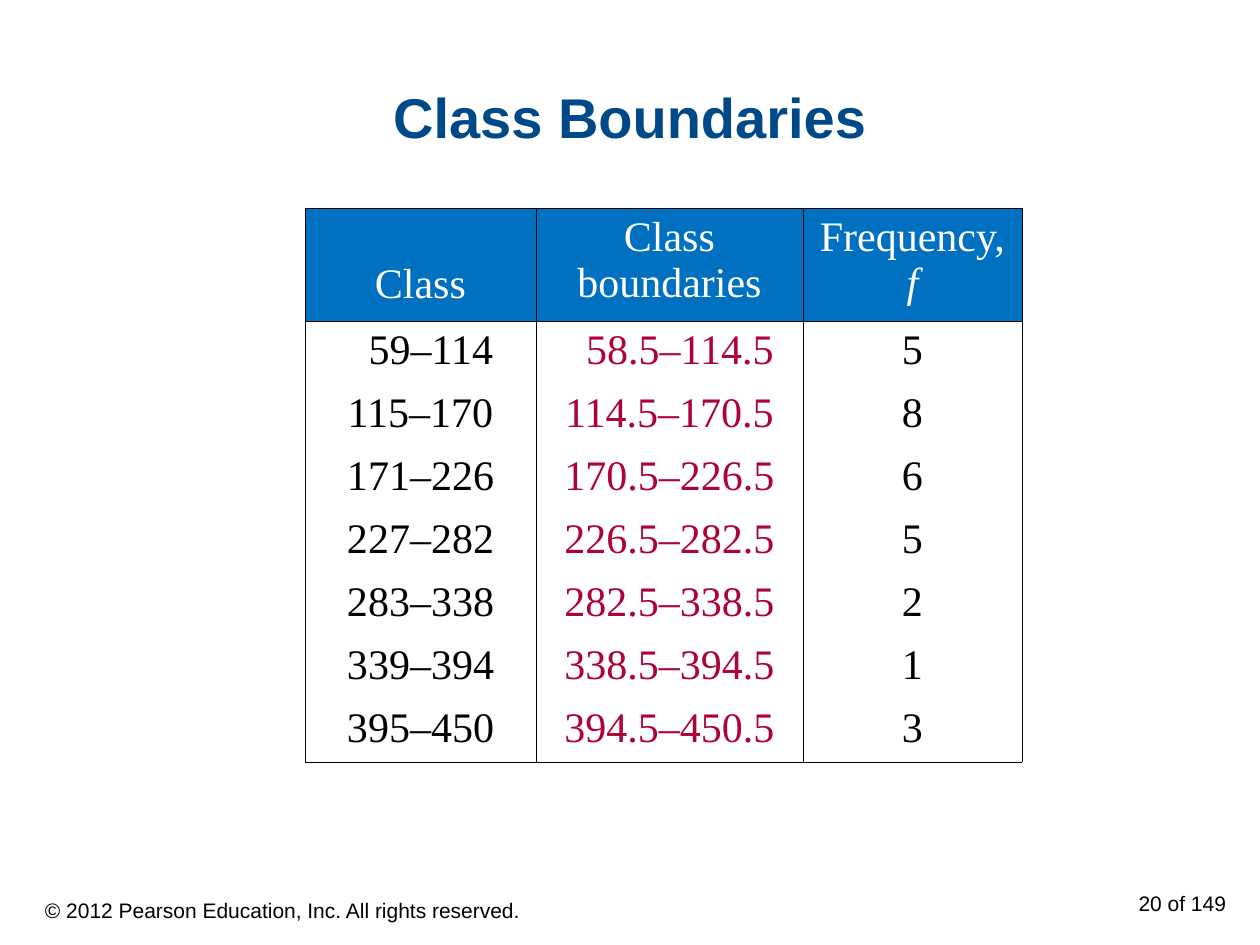
from dataclasses import dataclass

from lxml.etree import SubElement
from pptx import Presentation
from pptx.dml.color import RGBColor
from pptx.enum.text import MSO_ANCHOR, PP_ALIGN
from pptx.oxml.ns import qn
from pptx.util import Emu, Pt

EMU_PER_PX = 914400 / 126

TITLE_BLUE = RGBColor(0x00, 0x49, 0x88)
HEADER_BLUE = RGBColor(0x00, 0x70, 0xC0)
BOUNDARY_RED = RGBColor(0xAE, 0x03, 0x37)
WHITE = RGBColor(0xFF, 0xFF, 0xFF)
BLACK = RGBColor(0x00, 0x00, 0x00)

NO_STYLE = "{2D5ABB26-0587-4C30-8999-92F81FD0307C}"
MARGIN_X, MARGIN_Y = 13, 6
HEADER_HEIGHT, ROW_HEIGHT = 113, 63
LINE_HEIGHT = 47  # one line of table text
DIGIT_WIDTH = 21  # one digit of table text


@dataclass(frozen=True)
class Label:
    text: str
    left: int
    top: int
    width: int
    height: int
    size: int
    color: RGBColor
    align: PP_ALIGN
    anchor: MSO_ANCHOR
    bold: bool = False


@dataclass(frozen=True)
class Column:
    heading: tuple[str, ...]  # a second part is set in italics
    width: int
    color: RGBColor
    values: tuple[str, ...]
    heading_drop: int = 0
    first_indent: int = 0  # lines up a first value that is a digit shorter


LABELS = (
    Label("Class Boundaries", 63, 38, 1134, 157, 32, TITLE_BLUE,
          PP_ALIGN.CENTER, MSO_ANCHOR.MIDDLE, bold=True),
    Label("20 of 149", 945, 885, 294, 50, 12, BLACK,
          PP_ALIGN.RIGHT, MSO_ANCHOR.TOP),
    Label("© 2012 Pearson Education, Inc. All rights reserved.", 32, 885, 598, 50,
          12, BLACK, PP_ALIGN.LEFT, MSO_ANCHOR.MIDDLE),
)

COLUMNS = (
    Column(("Class",), 231, BLACK,
           ("59–114", "115–170", "171–226", "227–282", "283–338", "339–394",
            "395–450"),
           heading_drop=LINE_HEIGHT, first_indent=DIGIT_WIDTH),
    Column(("Class boundaries",), 267, BOUNDARY_RED,
           ("58.5–114.5", "114.5–170.5", "170.5–226.5", "226.5–282.5",
            "282.5–338.5", "338.5–394.5", "394.5–450.5"),
           first_indent=DIGIT_WIDTH),
    Column(("Frequency, ", "f"), 219, BLACK, ("5", "8", "6", "5", "2", "1", "3")),
)


def px(length: int) -> Emu:
    return Emu(round(length * EMU_PER_PX))


def set_margins(box, extra_left: int = 0, extra_top: int = 0) -> None:
    box.margin_left, box.margin_right = px(MARGIN_X + extra_left), px(MARGIN_X)
    box.margin_top, box.margin_bottom = px(MARGIN_Y + extra_top), px(MARGIN_Y)


def set_font(paragraph, name: str, size: int, color: RGBColor) -> None:
    paragraph.font.name = name
    paragraph.font.size = Pt(size)
    paragraph.font.color.rgb = color


def add_label(slide, label: Label) -> None:
    box = slide.shapes.add_textbox(
        px(label.left), px(label.top), px(label.width), px(label.height))
    frame = box.text_frame
    frame.word_wrap = True
    frame.vertical_anchor = label.anchor
    set_margins(frame)
    paragraph = frame.paragraphs[0]
    paragraph.text = label.text
    paragraph.alignment = label.align
    set_font(paragraph, "Arial", label.size, label.color)
    paragraph.font.bold = label.bold


def set_borders(cell, drawn_sides: str) -> None:
    properties = cell._tc.get_or_add_tcPr()
    for side in "LRTB":
        line = SubElement(properties, qn(f"a:ln{side}"), w=str(Pt(0.45)))
        if side in drawn_sides:
            fill = SubElement(line, qn("a:solidFill"))
            SubElement(fill, qn("a:srgbClr"), val=str(BLACK))
        else:
            SubElement(line, qn("a:noFill"))


def fill_cell(cell, parts: tuple[str, ...], color: RGBColor) -> None:
    paragraph = cell.text_frame.paragraphs[0]
    paragraph.alignment = PP_ALIGN.CENTER
    set_font(paragraph, "Times New Roman", 24, color)
    for index, part in enumerate(parts):
        run = paragraph.add_run()
        run.text = part
        if index:
            run.font.italic = True


def add_frequency_table(slide, left: int, top: int) -> None:
    row_count = len(COLUMNS[0].values)
    table = slide.shapes.add_table(
        row_count + 1, len(COLUMNS), px(left), px(top),
        px(sum(column.width for column in COLUMNS)),
        px(HEADER_HEIGHT + row_count * ROW_HEIGHT)).table
    table.first_row = table.horz_banding = False
    table._tbl.tblPr.find(qn("a:tableStyleId")).text = NO_STYLE

    for index, row in enumerate(table.rows):
        row.height = px(ROW_HEIGHT if index else HEADER_HEIGHT)

    for column_index, column in enumerate(COLUMNS):
        table.columns[column_index].width = px(column.width)

        # Heading
        heading = table.cell(0, column_index)
        set_margins(heading, extra_top=column.heading_drop)
        set_borders(heading, "LRTB")
        heading.fill.solid()
        heading.fill.fore_color.rgb = HEADER_BLUE
        fill_cell(heading, column.heading, WHITE)

        # Values
        for row_index, value in enumerate(column.values, start=1):
            cell = table.cell(row_index, column_index)
            first, last = row_index == 1, row_index == row_count
            set_margins(cell, extra_left=column.first_indent if first else 0)
            set_borders(cell, "LR" + "T" * first + "B" * last)
            cell.fill.background()
            fill_cell(cell, (value,), column.color)


def main() -> None:
    presentation = Presentation()
    presentation.slide_width, presentation.slide_height = px(1260), px(945)
    slide = presentation.slides.add_slide(presentation.slide_layouts[6])
    add_frequency_table(slide, 305, 208)
    for label in LABELS:
        add_label(slide, label)
    presentation.save("out.pptx")


if __name__ == "__main__":
    main()
